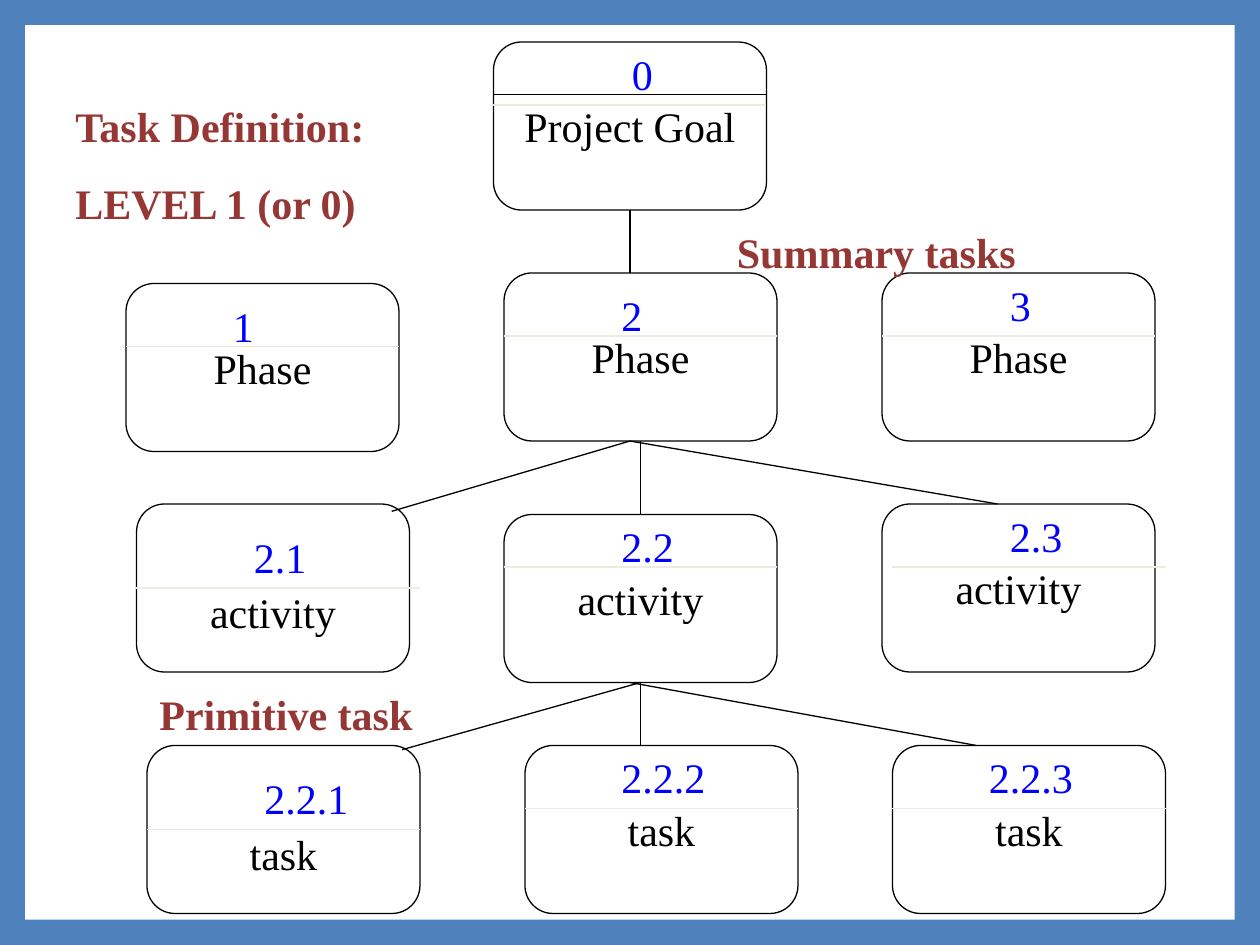
from lxml.etree import SubElement
from pptx import Presentation
from pptx.dml.color import RGBColor
from pptx.enum.shapes import MSO_CONNECTOR, MSO_SHAPE
from pptx.enum.text import MSO_ANCHOR, MSO_AUTO_SIZE, PP_ALIGN
from pptx.oxml.ns import qn
from pptx.util import Cm, Pt

THEME = {
    "border": RGBColor(0x4F, 0x81, 0xBD),
    "paper": RGBColor(0xFF, 0xFF, 0xFF),
    "ink": RGBColor(0, 0, 0),
    "divider": RGBColor(0xEE, 0xEC, 0xE1),
    "number": RGBColor(0, 0, 0xFF),
    "caption": RGBColor(0x95, 0x37, 0x35),
    "font": "Times New Roman",
    "size": Pt(24),
    "line": Pt(0.75),
    "line_height": Cm(0.97),
    "paragraph_gap": Pt(15),
}

# Positions below count grid steps, twelve to 2.54 cm.
STEP = 2.54 / 12
BOX_W, BOX_H, NUMBER_H = 26, 16, 6
MARGIN = 0.2 * 12

# number: (name, box corner, number corner, number width,
#          divider (left, right, y), name one line lower)
TASKS = {
    "0": ("Project Goal", (47, 4), (59, 4), 4, (47, 73, 10), False),
    "3": ("Phase", (84, 26), (95, 26), 5, (84, 110, 32), False),
    "2": ("Phase", (48, 26), (58, 27), 6, (48, 74, 32), False),
    "1": ("Phase", (12, 27), (21, 28), 6, (12, 38, 33), False),
    "2.3": ("activity", (84, 48), (95, 48), 9, (85, 111, 54), False),
    "2.2": ("activity", (48, 49), (58, 49), 10, (48, 74, 54), False),
    "2.1": ("activity", (13, 48), (23, 50), 9, (13, 40, 56), True),
    "2.2.2": ("task", (50, 71), (58, 71), 12, (50, 76, 77), False),
    "2.2.3": ("task", (85, 71), (93, 71), 12, (85, 111, 77), False),
    "2.2.1": ("task", (14, 71), (24, 73), 11, (14, 40, 79), True),
}
GOAL_RULE = ((47, 9), (73, 9))
# start, end, task joined at its bottom, task joined at its top
LINKS = [
    ((60, 20), (60, 26), "0", None),
    ((61, 42), (61, 49), "2", "2.2"),
    ((60, 42), (37.3, 48.7), None, None),
    ((60, 42), (95, 48), None, None),
    ((61, 65), (61, 71), "2.2", None),
    ((61, 65), (38.3, 71.4), "2.2", None),
    ((60, 65), (93, 71), None, None),
]
CAPTIONS = [
    (["Primitive task"], (14, 65, 29.9, 6)),
    (["Summary tasks"], (69, 21, 29, 6)),
    (["Task Definition:", "LEVEL 1 (or 0)"], (6, 9, 37.9, 13.3)),
]


def grid(*steps):
    return [Cm(step * STEP) for step in steps]


def set_all(target, formats):
    for key, value in formats.items():
        setattr(target, key, value)


def write(frame, lines, color, bold=False, align=PP_ALIGN.LEFT):
    for index, line in enumerate(lines):
        paragraph = frame.paragraphs[0] if index == 0 else frame.add_paragraph()
        paragraph.text = line
        paragraph.alignment = align
        if index:
            paragraph.space_before = THEME["paragraph_gap"]
        set_all(paragraph.font, {"name": THEME["font"], "size": THEME["size"], "bold": bold})
        paragraph.font.color.rgb = color


def add_label(slide, lines, place, color, bold=False):
    frame = slide.shapes.add_textbox(*grid(*place)).text_frame
    set_all(frame, {"word_wrap": True, "auto_size": MSO_AUTO_SIZE.SHAPE_TO_FIT_TEXT})
    write(frame, lines, color, bold)


def add_line(slide, start, end, color):
    line = slide.shapes.add_connector(MSO_CONNECTOR.STRAIGHT, *grid(*start, *end))
    line.line.color.rgb = color
    line.line.width = THEME["line"]
    SubElement(line._element.spPr, qn("a:effectLst"))
    return line


def add_panel(slide, kind, place):
    panel = slide.shapes.add_shape(kind, *grid(*place))
    panel.shadow.inherit = False
    panel.fill.solid()
    panel.fill.fore_color.rgb = THEME["paper"]
    panel.line.fill.background()
    return panel


def add_task_box(slide, name, corner, lowered):
    box = add_panel(slide, MSO_SHAPE.ROUNDED_RECTANGLE, (*corner, BOX_W, BOX_H))
    box.line.color.rgb = THEME["ink"]
    box.line.width = THEME["line"]
    frame = box.text_frame
    set_all(frame, {"word_wrap": False, "vertical_anchor": MSO_ANCHOR.MIDDLE})
    if lowered:
        frame.margin_top += THEME["line_height"]
    write(frame, [name], THEME["ink"], align=PP_ALIGN.CENTER)
    return box


def main():
    deck = Presentation()
    set_all(deck, {"slide_width": Cm(25.4), "slide_height": Cm(19.05)})
    slide = deck.slides.add_slide(deck.slide_layouts[6])
    slide.background.fill.solid()
    slide.background.fill.fore_color.rgb = THEME["border"]
    add_panel(slide, MSO_SHAPE.RECTANGLE,
              (MARGIN, MARGIN, 120 - 2 * MARGIN, 90 - 2 * MARGIN))

    boxes = {number: add_task_box(slide, name, corner, lowered)
             for number, (name, corner, _, _, _, lowered) in TASKS.items()}
    for _, _, _, _, (left, right, y), _ in TASKS.values():
        add_line(slide, (left, y), (right, y), THEME["divider"])
    add_line(slide, *GOAL_RULE, THEME["ink"])
    for number, (_, _, corner, width, _, _) in TASKS.items():
        add_label(slide, [number], (*corner, width, NUMBER_H), THEME["number"])

    for start, end, parent, child in LINKS:
        link = add_line(slide, start, end, THEME["ink"])
        if parent:
            link.begin_connect(boxes[parent], 2)
        if child:
            link.end_connect(boxes[child], 0)
    for lines, place in CAPTIONS:
        add_label(slide, lines, place, THEME["caption"], bold=True)

    deck.save("out.pptx")


if __name__ == "__main__":
    main()
